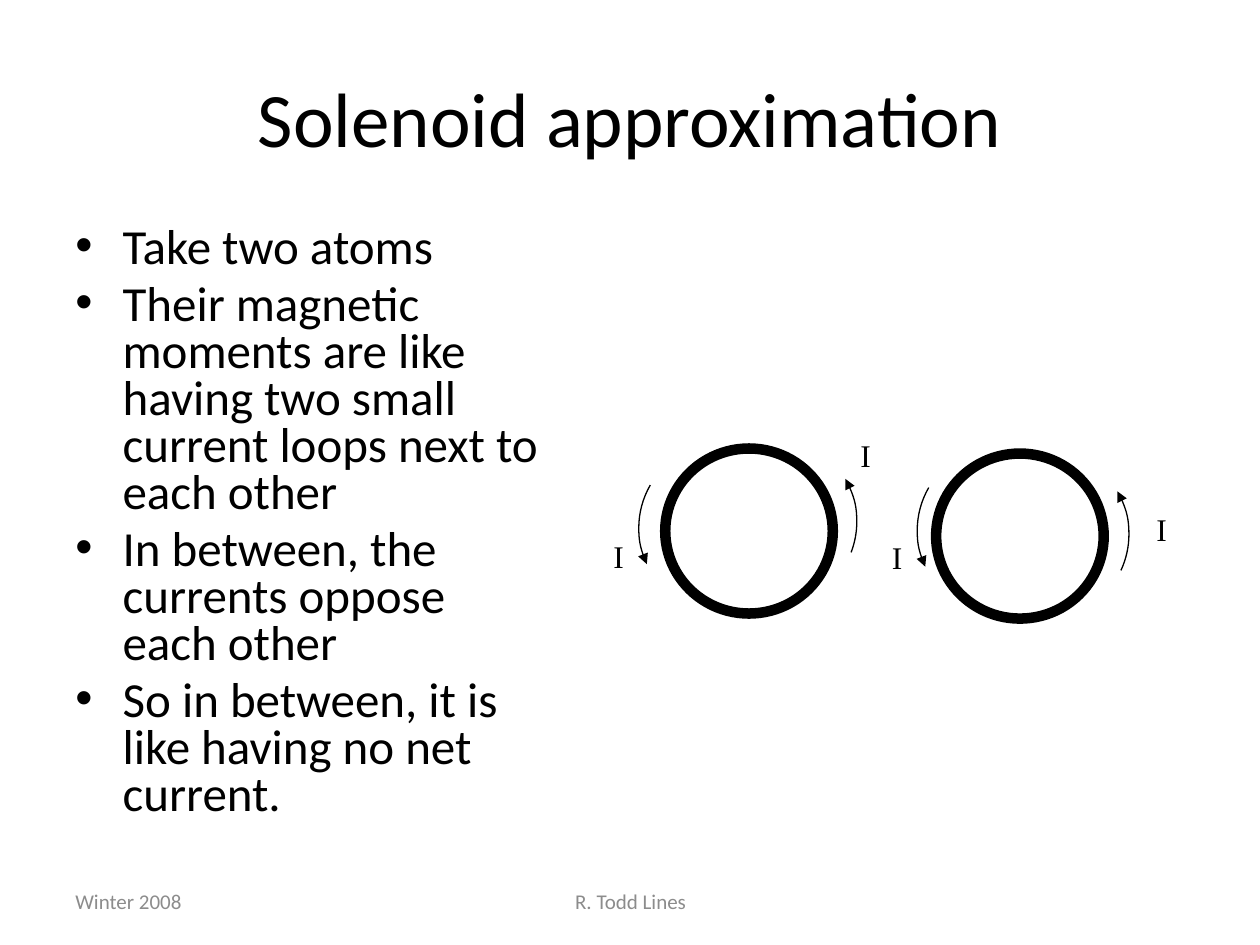
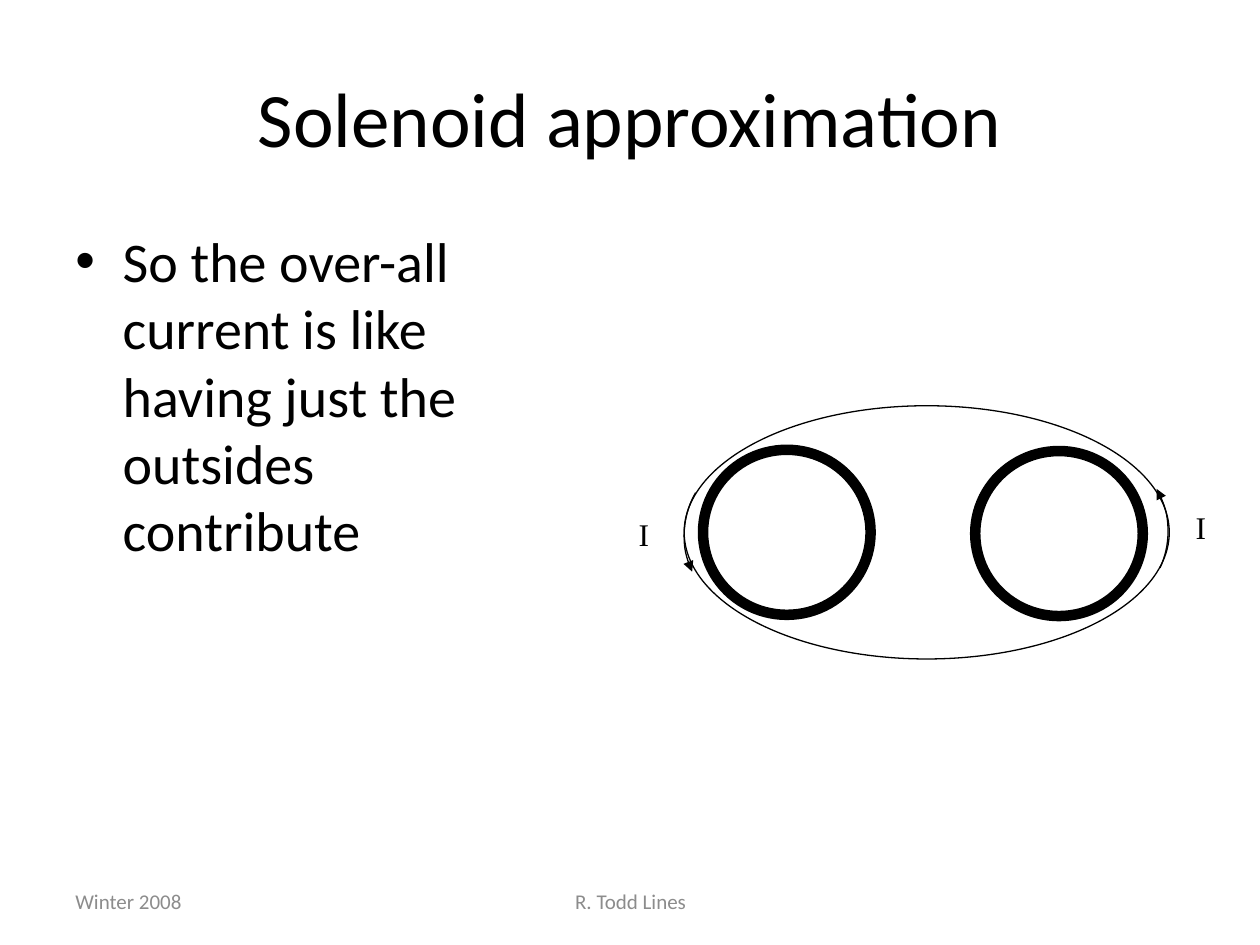
from copy import deepcopy
from math import cos, radians, sin

from pptx import Presentation
from pptx.dml.color import RGBColor
from pptx.enum.shapes import MSO_SHAPE as SHAPE
from pptx.enum.text import MSO_ANCHOR as ANCHOR, PP_ALIGN as ALIGN
from pptx.oxml.ns import qn
from pptx.util import Inches, Pt
from lxml.etree import SubElement

BLACK, GREY = "000000", "8C8C8C"
SANS, SERIF = "Calibri", "Times New Roman"
TITLE = "Solenoid approximation"
LOOP_W, LOOP_H, ARC_R = 1.33, 1.31, 0.68
INDENT = Inches(3 / 8)


def color(value):
    """Turn a hex string into a colour."""
    return RGBColor.from_string(value)


def place(s, box):
    """Move a shape to a box of left, top, width and height in inches."""
    s.left, s.top, s.width, s.height = (Inches(v) for v in box)


def write(s, lines, size, font=SANS, ink=BLACK, align=ALIGN.LEFT,
          anchor=ANCHOR.TOP, wrap=True):
    """Fill a shape with paragraphs in one style."""
    tf = s.text_frame
    tf.word_wrap, tf.vertical_anchor = wrap, anchor
    tf.text = "\n".join(lines)
    for p in tf.paragraphs:
        p.alignment = align
        for r in p.runs:
            r.font.size, r.font.name = Pt(size), font
            r.font.color.rgb = color(ink)


def add_text(slide, box, lines, size, **style):
    """Add a text box and return it."""
    s = slide.shapes.add_textbox(*(Inches(v) for v in box))
    write(s, lines, size, **style)
    return s


def add_frame(prs):
    """Add a slide with the shared title and footers."""
    slide = prs.slides.add_slide(prs.slide_layouts[5])
    title = slide.shapes.title
    place(title, (0.5, 0.3, 9, 1.25))
    write(title, [TITLE], 44, align=ALIGN.CENTER, anchor=ANCHOR.MIDDLE)
    add_text(slide, (0.5, 6.95, 2.33, 0.4), ["Winter 2008"], 12,
             ink=GREY, anchor=ANCHOR.MIDDLE)
    add_text(slide, (3.42, 6.95, 3.17, 0.4), ["R. Todd Lines"], 12,
             ink=GREY, align=ALIGN.CENTER, anchor=ANCHOR.MIDDLE)
    return slide


def add_bullets(slide, box, lines, size, spacing=1.0):
    """Add a bulleted list with hanging indents."""
    s = add_text(slide, box, lines, size)
    for p in s.text_frame.paragraphs:
        p.line_spacing, p.space_before = spacing, Pt(size * 0.2)
        pPr = p._p.get_or_add_pPr()
        pPr.set("marL", str(INDENT))
        pPr.set("indent", str(-INDENT))
        SubElement(pPr, qn("a:buFont")).set("typeface", "Arial")
        SubElement(pPr, qn("a:buChar")).set("char", "•")


def outline(s, width):
    """Give a shape a black line without fill or shadow."""
    s.shadow.inherit = False
    s.fill.background()
    s.line.color.rgb, s.line.width = color(BLACK), Pt(width)


def add_ellipse(slide, box, width):
    """Add an unfilled ellipse."""
    s = slide.shapes.add_shape(SHAPE.OVAL, *(Inches(v) for v in box))
    outline(s, width)


def add_arc(slide, center, side, start, stop=-30):
    """Add a sector whose curved edge alone is drawn, right (1) or left (-1)."""
    x, y = center
    corners = [(Inches(x + side * ARC_R * cos(radians(a))),
                Inches(y + ARC_R * sin(radians(a)))) for a in (start, 0, stop)]
    builder = slide.shapes.build_freeform(*corners[0])
    builder.add_line_segments(corners[1:] + [(Inches(x), Inches(y))])
    s = builder.convert_to_shape()
    outline(s, 0.75)

    sector = next(s._element.iter(qn("a:path")))
    move, middle, top, hub, close = sector
    sector.remove(middle)
    sector.remove(top)
    first = start if side > 0 else 180 - start
    arc = SubElement(sector, qn("a:arcTo"))
    for key, value in (("wR", Inches(ARC_R)), ("hR", Inches(ARC_R)),
                       ("stAng", first * 60000),
                       ("swAng", side * (stop - start) * 60000)):
        arc.set(key, str(value))
    move.addnext(arc)
    curve = deepcopy(sector)
    for part in list(curve)[2:]:
        curve.remove(part)
    curve.set("fill", "none")
    sector.set("stroke", "0")
    sector.addprevious(curve)
    return s


def add_current(slide, center, label, side, start=25):
    """Add an arc arrow, up on the right (1) or down on the left (-1), and its I."""
    s = add_arc(slide, center, side, start)
    end = "a:tailEnd" if side > 0 else "a:headEnd"
    SubElement(s.line._get_or_add_ln(), qn(end)).set("type", "triangle")
    add_text(slide, (*label, 0.28, 0.37), ["I"], 18, font=SERIF, wrap=False)


def add_loops(slide, corners):
    """Add one thick current loop at each top left corner."""
    for corner in corners:
        add_ellipse(slide, (*corner, LOOP_W, LOOP_H), 6)


def two_atoms(prs):
    """Build the slide with two separate current loops."""
    slide = add_frame(prs)
    add_bullets(slide, (0.5, 1.75, 3.88, 4.95), [
        "Take two atoms",
        "Their magnetic moments are like having two small current loops "
        "next to each other",
        "In between, the currents oppose each other",
        "So in between, it is like having no net current.",
    ], 28, 0.8)
    add_loops(slide, [(5.28, 3.56), (7.43, 3.6)])
    add_current(slide, (8.28, 4.24), (9.08, 4), 1)
    add_current(slide, (6.12, 4.14), (6.73, 3.41), 1, start=21)
    add_current(slide, (7.96, 4.21), (6.98, 4.22), -1)
    add_current(slide, (5.75, 4.19), (4.77, 4.21), -1)


def outer_current(prs):
    """Build the slide with one current around both loops."""
    slide = add_frame(prs)
    add_bullets(slide, (0.5, 1.75, 3.6, 4.95), [
        "So the over-all current is like having just the outsides contribute",
    ], 32)
    add_loops(slide, [(5.58, 3.57), (7.74, 3.58)])
    add_current(slide, (8.59, 4.22), (9.39, 3.98), 1)
    add_current(slide, (6.11, 4.25), (4.97, 4.04), -1)
    add_ellipse(slide, (5.43, 3.22, 3.85, 2.01), 0.75)


prs = Presentation()
prs.slide_width, prs.slide_height = Inches(10), Inches(7.5)
two_atoms(prs)
outer_current(prs)
prs.save("out.pptx")
